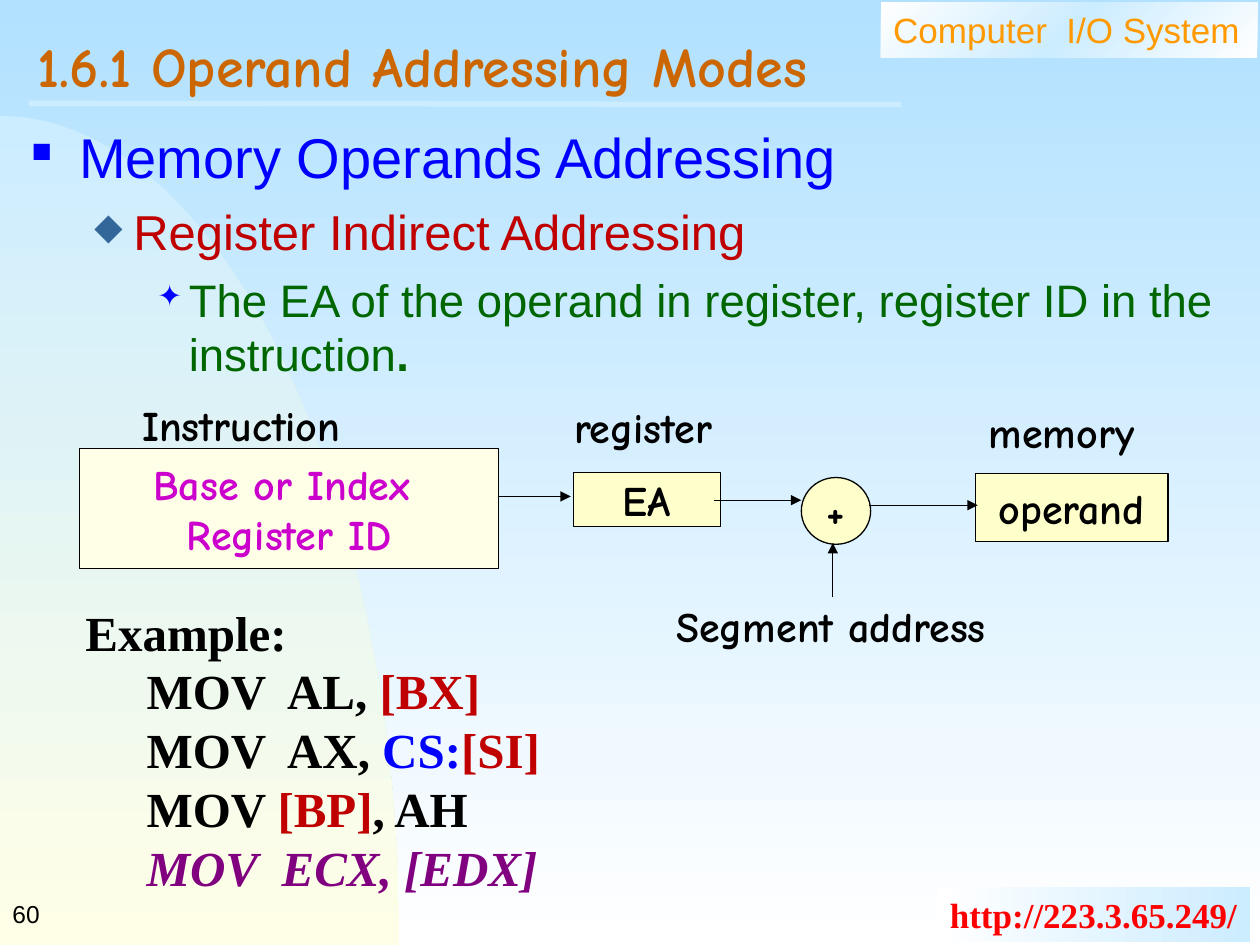
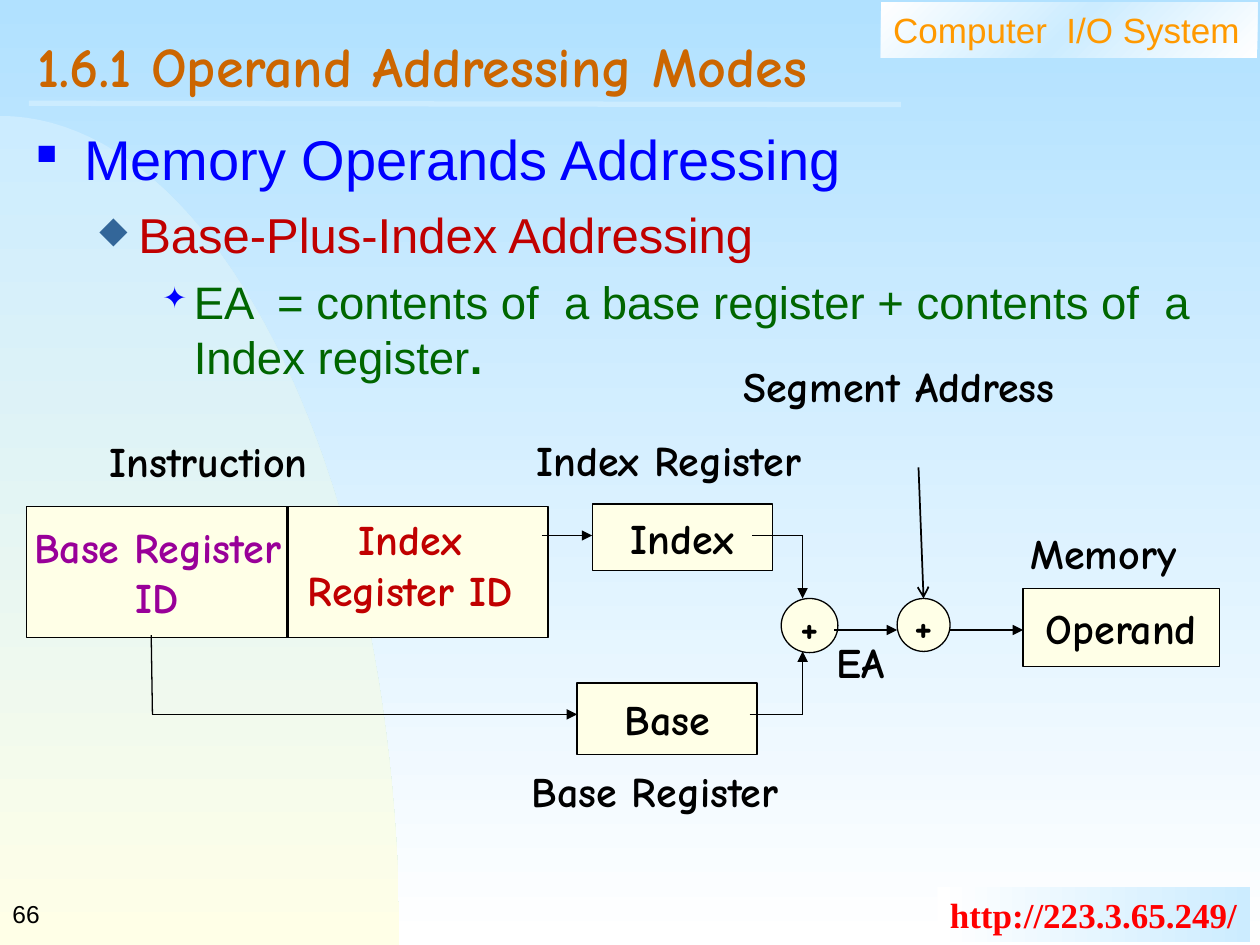
import copy
import math

import pptx
import pptx.dml.color
import pptx.enum.shapes
import pptx.enum.text
import pptx.oxml.ns
import pptx.util
from lxml import etree

RGBColor = pptx.dml.color.RGBColor
Shape = pptx.enum.shapes.MSO_SHAPE
Align = pptx.enum.text.PP_ALIGN
Anchor = pptx.enum.text.MSO_ANCHOR
qn = pptx.oxml.ns.qn

SLIDE_WIDTH = pptx.util.Inches(10)
SLIDE_HEIGHT = pptx.util.Inches(7.5)
COLUMN = SLIDE_WIDTH / 100
ROW = SLIDE_HEIGHT / 75

BLACK = RGBColor(0x00, 0x00, 0x00)
WHITE = RGBColor(0xFF, 0xFF, 0xFF)
SKY = RGBColor(0xB1, 0xE1, 0xFF)
PALE_BLUE = RGBColor(0xCC, 0xEC, 0xFF)
IVORY = RGBColor(0xFF, 0xFF, 0xE7)
CREAM = RGBColor(0xFF, 0xFF, 0xCC)
ORANGE = RGBColor(0xFF, 0x99, 0x00)
BROWN = RGBColor(0xCC, 0x66, 0x00)
RED = RGBColor(0xFF, 0x00, 0x00)
CRIMSON = RGBColor(0xC0, 0x00, 0x00)
BLUE = RGBColor(0x00, 0x00, 0xFF)
STEEL = RGBColor(0x33, 0x66, 0x99)
GREEN = RGBColor(0x00, 0x66, 0x00)
MAGENTA = RGBColor(0xCC, 0x00, 0xCC)
VIOLET = RGBColor(0x99, 0x00, 0x99)
PURPLE = RGBColor(0x80, 0x00, 0x80)

SANS, COMIC, SERIF = "Arial", "Comic Neue", "Times New Roman"

OUTLINE_LEVELS = [
    dict(size=32, colour=BLUE, margin=0.38, hang=0.38, before=0,
         mark="■", mark_colour=BLUE, mark_share=50),
    dict(size=28, colour=CRIMSON, margin=0.81, hang=0.31, before=7,
         mark="◆", mark_colour=STEEL, mark_share=75),
    dict(size=26, colour=GREEN, margin=1.25, hang=0.25, before=6.5,
         mark="✦", mark_colour=BLUE, mark_share=65),
]


def place(column, row, columns, rows):
    return (round(column * COLUMN), round(row * ROW),
            round(columns * COLUMN), round(rows * ROW))


def paint_gradient(owner, fill, angle, colours):
    fill.gradient()
    fill.gradient_angle = -angle % 360
    stop_list = next(owner.element.iter(qn("a:gsLst")))
    while len(stop_list) < len(colours):
        stop_list.append(copy.deepcopy(stop_list[0]))
    for index, (stop, colour) in enumerate(zip(fill.gradient_stops, colours)):
        stop.color.rgb = colour
        stop.position = index / (len(colours) - 1)


def style_run(run, font, size, colour, bold=False, italic=False):
    run.font.name = font
    run.font.size = pptx.util.Pt(size)
    run.font.color.rgb = colour
    run.font.bold = bold
    run.font.italic = italic


def write(frame, text, font, size, colour, bold=True, align=Align.LEFT, anchor=Anchor.TOP):
    frame.text = text
    frame.vertical_anchor = anchor
    for paragraph in frame.paragraphs:
        paragraph.alignment = align
        for run in paragraph.runs:
            style_run(run, font, size, colour, bold)


def add_frame(slide, area):
    frame = slide.shapes.add_textbox(*place(*area)).text_frame
    frame.word_wrap = True
    return frame


def add_label(slide, area, text, colour=BLACK, align=Align.LEFT):
    write(add_frame(slide, area), text, COMIC, 24, colour, align=align)


def add_node(slide, area, text="", fill=IVORY, colour=BLACK, kind=Shape.RECTANGLE):
    node = slide.shapes.add_shape(kind, *place(*area))
    node.shadow.inherit = False
    node.fill.solid()
    node.fill.fore_color.rgb = fill
    node.line.color.rgb = BLACK
    node.line.width = pptx.util.Pt(0.75)
    if text:
        node.text_frame.word_wrap = False
        write(node.text_frame, text, COMIC, 24, colour,
              align=Align.CENTER, anchor=Anchor.MIDDLE)


def add_wire(slide, points, head="triangle", colour=BLACK, width=0.75):
    for start, end in zip(points, points[1:]):
        wire = slide.shapes.add_connector(
            pptx.enum.shapes.MSO_CONNECTOR.STRAIGHT, *place(*start, *end))
        wire.line.color.rgb = colour
        wire.line.width = pptx.util.Pt(width)
        properties = wire.element.spPr
        etree.SubElement(properties, qn("a:effectLst"))
    if head:
        etree.SubElement(properties.find(qn("a:ln")), qn("a:tailEnd"), type=head)


def add_band(slide, area, angle, colours, text, font, colour, bold):
    band = slide.shapes.add_shape(Shape.RECTANGLE, *place(*area))
    band.shadow.inherit = False
    band.line.fill.background()
    paint_gradient(band, band.fill, angle, colours)
    write(band.text_frame, text, font, 20, colour, bold)


def add_corner_curve(slide):
    radius_x, radius_y, steps = 31.7, 65.8, 48
    arc = [(radius_x * math.sin(angle), 75 - radius_y * math.cos(angle))
           for angle in (math.pi / 2 * step / steps for step in range(steps + 1))]
    builder = slide.shapes.build_freeform(0, round(75 * ROW))
    builder.add_line_segments([(round(x * COLUMN), round(y * ROW)) for x, y in arc])
    curve = builder.convert_to_shape()
    curve.shadow.inherit = False
    curve.line.fill.background()
    paint_gradient(curve, curve.fill, 90, [PALE_BLUE, IVORY])


def add_page(deck, number):
    slide = deck.slides.add_slide(deck.slide_layouts[6])
    add_corner_curve(slide)
    add_band(slide, (69.9, 0.2, 29.9, 4.4), 45, [WHITE, PALE_BLUE, WHITE],
             "Computer  I/O System", SANS, ORANGE, False)
    add_band(slide, (74.4, 70.4, 24.8, 4.4), 0, [WHITE, PALE_BLUE],
             "http://223.3.65.249/", SERIF, RED, True)
    add_wire(slide, [(2.3, 8.2), (71.5, 8.3)], None, PALE_BLUE, 3)
    title = add_frame(slide, (2, 2, 95.5, 7.7))
    write(title, "1.6.1 Operand Addressing Modes", COMIC, 32, BROWN, anchor=Anchor.MIDDLE)
    title.paragraphs[0].line_spacing = 0.7
    write(add_frame(slide, (0, 70, 20.8, 5)), number, SANS, 14, BLACK, False,
          anchor=Anchor.MIDDLE)
    return slide


def add_bullet(paragraph, level):
    properties = paragraph._p.get_or_add_pPr()
    properties.set("marL", str(pptx.util.Inches(level["margin"])))
    properties.set("indent", str(-pptx.util.Inches(level["hang"])))
    mark_colour = etree.SubElement(properties, qn("a:buClr"))
    etree.SubElement(mark_colour, qn("a:srgbClr"), val=str(level["mark_colour"]))
    etree.SubElement(properties, qn("a:buSzPct"), val=str(level["mark_share"] * 1000))
    etree.SubElement(properties, qn("a:buChar"), char=level["mark"])


def add_outline(slide, column, row, topic, definition):
    frame = add_frame(slide, (column, row, 96, 62.2))
    frame.text = "\n".join(["Memory Operands Addressing", topic, definition])
    for depth, (paragraph, level) in enumerate(zip(frame.paragraphs, OUTLINE_LEVELS)):
        add_bullet(paragraph, level)
        paragraph.level = depth
        paragraph.space_before = pptx.util.Pt(level["before"])
        style_run(paragraph.runs[0], SANS, level["size"], level["colour"])
    full_stop = paragraph.add_run()
    full_stop.text = "."
    style_run(full_stop, SANS, level["size"], level["colour"], True)


def add_code(slide, area, lines):
    frame = add_frame(slide, area)
    for index, line in enumerate(lines):
        paragraph = frame.add_paragraph() if index else frame.paragraphs[0]
        for text, colour in line:
            run = paragraph.add_run()
            run.text = text
            style_run(run, SERIF, 28, colour, True, colour == PURPLE)


def build_register_indirect(deck):
    slide = add_page(deck, "60")
    add_outline(slide, 1.5, 9.2, "Register Indirect Addressing",
                "The EA of the operand in register, register ID in the instruction")
    add_node(slide, (6.3, 35.6, 33.3, 9.5), "Base or Index \nRegister ID", colour=MAGENTA)
    add_node(slide, (45.5, 37.5, 11.7, 4.3), "EA", CREAM)
    add_node(slide, (77.4, 37.6, 15.3, 5.4), "operand", CREAM)
    add_node(slide, (63.6, 37.9, 5.5, 5.3), "+", CREAM, kind=Shape.OVAL)
    for points in ([(39.6, 39.4), (45.3, 39.4)], [(56.7, 39.7), (63.6, 39.7)],
                   [(69, 40.1), (77.6, 40.1)], [(66.1, 47.4), (66.1, 43.1)]):
        add_wire(slide, points)
    for area, text in (((77.5, 31.8, 15.1, 5), "memory"),
                       ((10.3, 31.2, 21.9, 5), "Instruction"),
                       ((44.6, 31.4, 16, 5), "register"),
                       ((52.7, 47.2, 30.2, 5), "Segment address")):
        add_label(slide, area, text)
    add_code(slide, (5.8, 47.3, 38.9, 24.4), [
        [("Example:", BLACK)],
        [("     MOV  AL, ", BLACK), ("[BX]", CRIMSON)],
        [("     MOV  AX, ", BLACK), ("CS:", BLUE), ("[SI]", CRIMSON)],
        [("     MOV ", BLACK), ("[BP]", CRIMSON), (", AH", BLACK)],
        [("     ", BLACK), ("MOV  ECX, [EDX]", PURPLE)],
    ])


def build_base_plus_index(deck):
    slide = add_page(deck, "66")
    add_outline(slide, 1.9, 9.4, "Base-Plus-Index Addressing",
                "EA  = contents of  a base register + contents of  a Index register")
    left, top, width, height = instruction = (2.1, 40.2, 41.4, 10.4)
    add_node(slide, instruction)
    middle = left + width / 2
    add_wire(slide, [(middle, top), (middle, top + height)], None, width=1.5)
    add_node(slide, (47, 40, 14.3, 5.3), "Index")
    add_node(slide, (45.8, 54.2, 14.3, 5.7), "Base")
    add_node(slide, (81.2, 46.7, 15.6, 6.2), "Operand")
    add_node(slide, (62, 47.5, 4.5, 4.3), "+", kind=Shape.OVAL)
    add_node(slide, (71.2, 47.5, 4.2, 4.2), "+", kind=Shape.OVAL)
    for points in ([(43, 42.5), (47, 42.5)],
                   [(12, 50.4), (12.1, 56.7), (45.8, 56.7)],
                   [(59.7, 42.5), (63.7, 42.5), (63.7, 47.5)],
                   [(59.5, 56.7), (63.7, 56.7), (63.7, 51.7)],
                   [(66.2, 50), (71.2, 50)], [(75.4, 50), (81.2, 50)]):
        add_wire(slide, points)
    add_wire(slide, [(72.9, 37.1), (73.3, 47.5)], "arrow", width=1)
    for area, text in (((7.7, 34.1, 29.4, 5), "Instruction"),
                       ((41.6, 34, 26.5, 5), "Index Register"),
                       ((41.2, 60.3, 24.9, 5), "Base Register"),
                       ((58, 28.1, 29.8, 5), "Segment Address"),
                       ((80.8, 41.4, 15.2, 5), "Memory"),
                       ((65.4, 50, 7.7, 5), "EA")):
        add_label(slide, area, text)
    add_label(slide, (0.9, 40.9, 23.2, 9), "Base Register ID", VIOLET, Align.CENTER)
    add_label(slide, (21.5, 40.3, 22.1, 9), "Index Register ID", CRIMSON, Align.CENTER)


def main():
    deck = pptx.Presentation()
    deck.slide_width, deck.slide_height = SLIDE_WIDTH, SLIDE_HEIGHT
    master = deck.slide_master
    paint_gradient(master, master.background.fill, 90, [SKY, WHITE])
    build_register_indirect(deck)
    build_base_plus_index(deck)
    deck.save("out.pptx")


if __name__ == "__main__":
    main()
